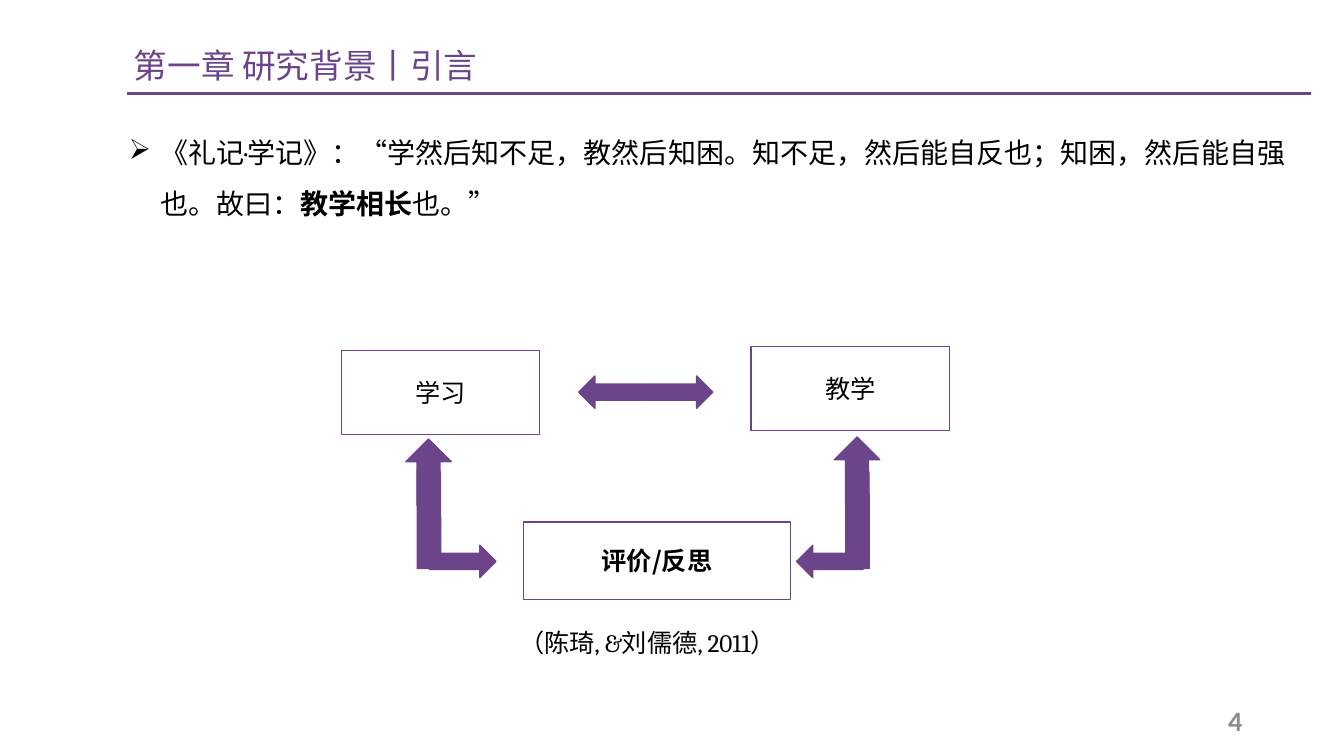
from lxml import etree
from pptx import Presentation
from pptx.dml.color import RGBColor
from pptx.enum.shapes import MSO_CONNECTOR, MSO_SHAPE
from pptx.enum.text import MSO_ANCHOR, PP_ALIGN
from pptx.oxml.ns import qn
from pptx.util import Pt

EMU_PER_PX = 9144
PURPLE = RGBColor(0x6C, 0x44, 0x8A)
WHITE = RGBColor(0xFF, 0xFF, 0xFF)
BLACK = RGBColor(0, 0, 0)
GRAY = RGBColor(0x8C, 0x8C, 0x8C)
SANS, SERIF, NUMBER_FONT = "Noto Sans CJK SC", "Cambria", "Calibri"
LEFT, CENTER, RIGHT = PP_ALIGN.LEFT, PP_ALIGN.CENTER, PP_ALIGN.RIGHT
TOP, MIDDLE = MSO_ANCHOR.TOP, MSO_ANCHOR.MIDDLE
RECTANGLE, ARROW, BAR = MSO_SHAPE.RECTANGLE, MSO_SHAPE.RIGHT_ARROW, MSO_SHAPE.ROUND_1_RECTANGLE

SLIDE_SIZE = (1333, 750)
RULE = (126, 93, 1300, 93)
BULLET, HANGING = "➢", 31

TITLE = ((123, 40, 366, 50), [("第一章 研究背景丨引言", False)],
         dict(size=24, name=SANS, color=PURPLE, wrap=False))
QUOTE = ((118, 113, 1174, 105),
         [("《礼记·学记》：“学然后知不足，教然后知困。知不足，然后能自反也；知困，然后能自强也。故曰：", False),
          ("教学相长", True), ("也。”", False)],
         dict(size=20, name=SERIF))
CITATION = ((505, 617, 292, 40), [("（陈琦, &刘儒德, 2011）", False)],
            dict(size=18, name=SERIF))
PAGE_NUMBER = ((942, 695, 300, 40), [("4", True)],
               dict(size=20, name=NUMBER_FONT, color=GRAY, align=RIGHT, anchor=MIDDLE))

BOXES = [
    ((339, 348, 196, 83), "学习", False),
    ((745, 344, 197, 83), "教学", False),
    ((519, 518, 265, 77), "评价/反思", True),
]
FLAT_ARROW, UPRIGHT_ARROW, BAR_SIZE = (66, 32), (66, 45), (23, 98)
ARROW_PARTS = [
    (ARROW, FLAT_ARROW, 0, [(641, 373), (426, 541)]),
    (ARROW, FLAT_ARROW, 180, [(574, 373), (790, 541)]),
    (ARROW, UPRIGHT_ARROW, 270, [(392, 446), (817, 444)]),
    (BAR, BAR_SIZE, 0, [(414, 466), (839, 466)]),
]


def px(*values):
    return [value * EMU_PER_PX for value in values]


def write(frame, runs, size, name, color=BLACK, align=LEFT, anchor=TOP, wrap=True):
    frame.word_wrap = wrap
    frame.vertical_anchor = anchor
    paragraph = frame.paragraphs[0]
    paragraph.alignment = align
    for text, bold in runs:
        run = paragraph.add_run()
        run.text = text
        for key, value in dict(size=Pt(size), name=name, bold=bold).items():
            setattr(run.font, key, value)
        run.font.color.rgb = color
        etree.SubElement(run.font._element, qn("a:ea"), typeface=SANS)
    return paragraph


def add_text(slide, place, runs, style):
    return write(slide.shapes.add_textbox(*px(*place)).text_frame, runs, **style)


def add_outlined(slide, kind, place, fill, rotation=0):
    shape = slide.shapes.add_shape(kind, *px(*place))
    shape.rotation = rotation
    shape.shadow.inherit = False
    shape.fill.solid()
    shape.fill.fore_color.rgb = fill
    shape.line.color.rgb = PURPLE
    shape.line.width = Pt(1)
    return shape


def add_rule(slide):
    rule = slide.shapes.add_connector(MSO_CONNECTOR.STRAIGHT, *px(*RULE))
    rule.line.color.rgb = PURPLE
    rule.line.width = Pt(2.25)
    etree.SubElement(rule._element.spPr, qn("a:effectLst"))


def add_bullet(paragraph):
    paragraph.line_spacing = 1.5
    properties = paragraph._p.get_or_add_pPr()
    indent = px(HANGING)[0]
    properties.set("marL", str(indent))
    properties.set("indent", str(-indent))
    etree.SubElement(properties, qn("a:buChar"), char=BULLET)


def main():
    presentation = Presentation()
    presentation.slide_width, presentation.slide_height = px(*SLIDE_SIZE)
    slide = presentation.slides.add_slide(presentation.slide_layouts[6])

    add_rule(slide)
    add_text(slide, *TITLE)
    add_bullet(add_text(slide, *QUOTE))
    add_text(slide, *PAGE_NUMBER)
    for place, label, bold in BOXES:
        box = add_outlined(slide, RECTANGLE, place, WHITE)
        write(box.text_frame, [(label, bold)], 18, SANS, align=CENTER, anchor=MIDDLE)
    add_text(slide, *CITATION)
    for kind, size, rotation, corners in ARROW_PARTS:
        for corner in corners:
            add_outlined(slide, kind, corner + size, PURPLE, rotation)

    presentation.save("out.pptx")


if __name__ == "__main__":
    main()
